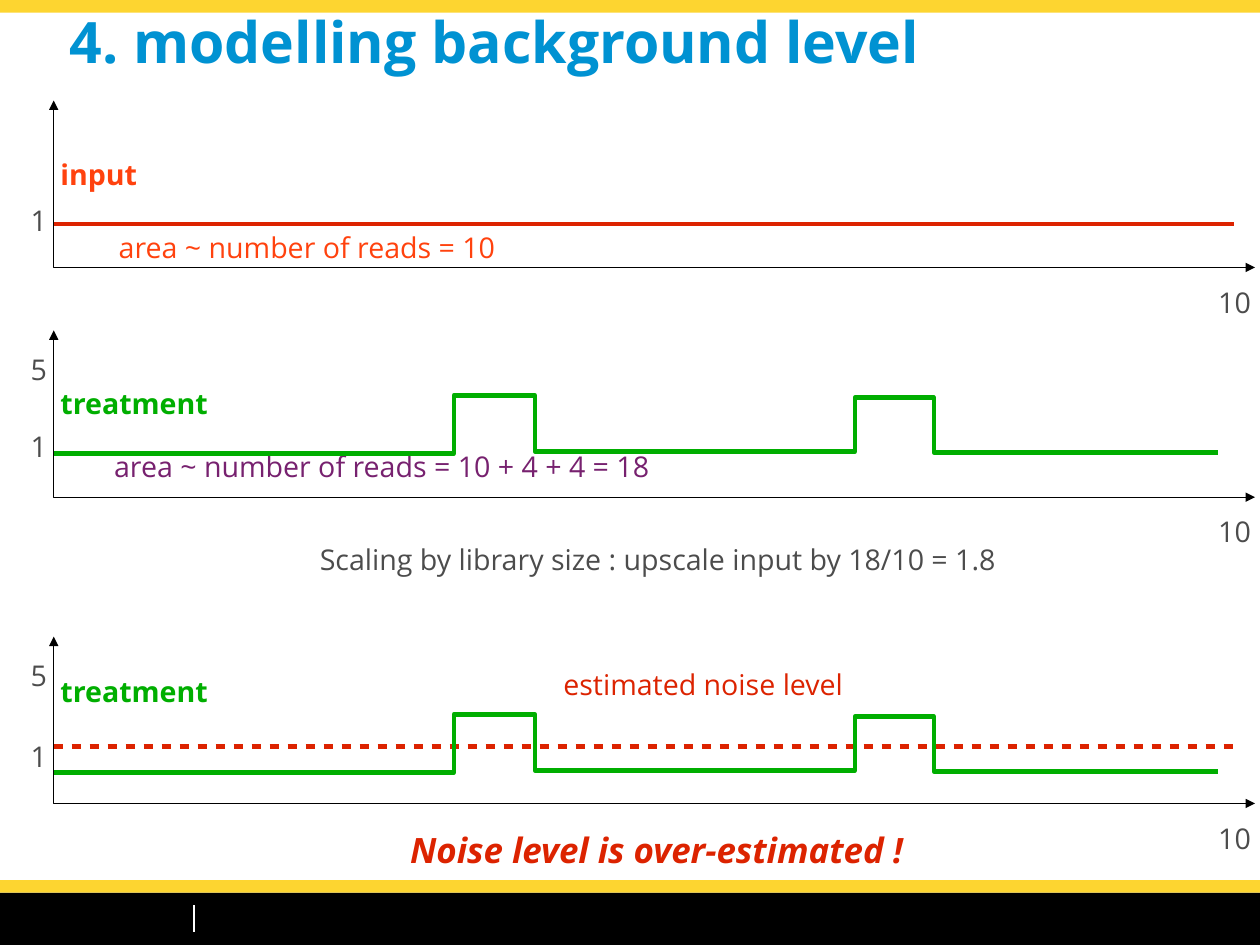
from dataclasses import dataclass

from lxml.etree import SubElement
from pptx import Presentation
from pptx.dml.color import RGBColor
from pptx.enum.shapes import MSO_CONNECTOR as Connector, MSO_SHAPE as Preset
from pptx.enum.text import MSO_ANCHOR as Anchor, MSO_AUTO_SIZE as AutoSize, PP_ALIGN as Align
from pptx.oxml.ns import qn
from pptx.util import Inches, Pt

CM_PER_INCH = 2.54
SLIDE_WIDTH, SLIDE_HEIGHT = 28 / CM_PER_INCH, 21 / CM_PER_INCH
ORIGIN_X, AXIS_END, LEVEL_END = 0.47, 10.98, 10.8
AXIS_HEIGHT = 1.46
# End of each step, and its depth below the first peak
COVERAGE_STEPS = [(3.97, 0.51), (4.68, 0), (7.48, 0.49), (8.17, 0.02), (10.66, 0.5)]


@dataclass(frozen=True)
class Theme:
    font: str = "Open Sans"
    title: str = "0092D2"
    band: str = "FDD530"
    black: str = "000000"
    white: str = "FFFFFF"
    grey: str = "4C4C4C"
    orange: str = "FF420E"
    red: str = "DC2300"
    green: str = "00AE00"
    purple: str = "77216F"
    title_size: int = 36
    label_size: int = 18
    verdict_size: int = 22
    hairline: float = 0
    divider: float = 1.42
    signal: float = 2.83


class SlideBuilder:
    def __init__(self, slide, theme):
        self.slide = slide
        self.theme = theme

    def style_font(self, paragraph, color, **formats):
        font = paragraph.font
        values = {"name": self.theme.font, "size": Pt(self.theme.label_size), **formats}
        for attribute, value in values.items():
            setattr(font, attribute, value)
        font.color.rgb = RGBColor.from_string(color)

    def title(self, text, left, top, width, height):
        heading = self.slide.shapes.title
        place = {"left": left, "top": top, "width": width, "height": height}
        for attribute, value in place.items():
            setattr(heading, attribute, Inches(value))
        frame = heading.text_frame
        frame.text = text
        layout = {"vertical_anchor": Anchor.TOP, "auto_size": AutoSize.NONE, "word_wrap": True}
        for attribute, value in layout.items():
            setattr(frame, attribute, value)
        frame.paragraphs[0].alignment = Align.LEFT
        self.style_font(frame.paragraphs[0], self.theme.title,
                        size=Pt(self.theme.title_size), bold=True)

    def text_box(self, text, left, top, width, height, color, layout, **formats):
        box = self.slide.shapes.add_textbox(*map(Inches, (left, top, width, height)))
        frame = box.text_frame
        frame.text = text
        for attribute, value in layout.items():
            setattr(frame, attribute, value)
        self.style_font(frame.paragraphs[0], color, **formats)

    def label(self, text, left, top, width, color, height=0.44, **formats):
        layout = {"word_wrap": False, "auto_size": AutoSize.SHAPE_TO_FIT_TEXT}
        self.text_box(text, left, top, width, height, color, layout, **formats)

    def tick(self, number, left, top, width):
        """Write an axis number with spare room on its right, so it stays on one line."""
        layout = {"word_wrap": True, "auto_size": AutoSize.NONE, "margin_right": 0}
        self.text_box(number, left, top, width, 0.44, self.theme.grey, layout)

    def bar(self, top, height, color):
        band = self.slide.shapes.add_shape(
            Preset.RECTANGLE, 0, Inches(top), Inches(SLIDE_WIDTH), Inches(height))
        band.shadow.inherit = False
        band.fill.solid()
        band.fill.fore_color.rgb = RGBColor.from_string(color)
        band.line.fill.background()

    def stroke(self, line, color, weight):
        line.color.rgb = RGBColor.from_string(color)
        line.width = Pt(weight)

    def line(self, start, end, color, weight, dashed=False):
        rule = self.slide.shapes.add_connector(
            Connector.STRAIGHT, *map(Inches, (*start, *end)))
        self.stroke(rule.line, color, weight)
        if dashed:
            dashes = SubElement(rule.line._get_or_add_ln(), qn("a:custDash"))
            SubElement(dashes, qn("a:ds"), d="200000", sp="200000")
        SubElement(rule._element.spPr, qn("a:effectLst"))

    def polyline(self, points, color, weight, arrows=False):
        corners = [tuple(map(Inches, point)) for point in points]
        outline = self.slide.shapes.build_freeform(*corners[0])
        outline.add_line_segments(corners[1:], close=False)
        path = outline.convert_to_shape()
        path.shadow.inherit = False
        path.fill.background()
        self.stroke(path.line, color, weight)
        ln = path.line._get_or_add_ln()
        SubElement(ln, qn("a:round"))
        if arrows:
            for end in ("a:headEnd", "a:tailEnd"):
                SubElement(ln, qn(end), type="triangle")

    def plot(self, top, name, name_top, name_width, color, one_top, has_five):
        """Draw a pair of axes with its track name and tick labels."""
        base = top + AXIS_HEIGHT
        self.polyline([(ORIGIN_X, top), (ORIGIN_X, base), (AXIS_END, base)],
                      self.theme.black, self.theme.hairline, arrows=True)
        self.label(name, 0.43, name_top, name_width, color, bold=True)
        self.tick("1", 0.17, one_top, 0.34)
        self.tick("10", 10.56, base + 0.1, 0.48)
        if has_five:
            self.tick("5", 0.17, top + 0.14, 0.34)

    def coverage(self, peak_top):
        """Draw the stepped treatment signal, its highest level at peak_top."""
        points, x = [], ORIGIN_X
        for step_end, drop in COVERAGE_STEPS:
            y = peak_top + drop
            points += [(x, y), (step_end, y)]
            x = step_end
        self.polyline(points, self.theme.green, self.theme.signal)


def main():
    deck = Presentation()
    deck.slide_width, deck.slide_height = Inches(SLIDE_WIDTH), Inches(SLIDE_HEIGHT)
    theme = Theme()
    page = SlideBuilder(deck.slides.add_slide(deck.slide_layouts[5]), theme)

    for top, height, color in [(7.81, 0.46, theme.black), (0, 0.11, theme.band),
                               (7.7, 0.11, theme.band)]:
        page.bar(top, height, color)
    page.line((1.7, 7.92), (1.7, 8.15), theme.white, theme.divider)
    page.title("4. modelling background level", 0.51, 0.01, 9.92, 1.11)

    page.plot(0.88, "input", 1.32, 0.87, theme.orange, 1.73, has_five=False)
    page.line((ORIGIN_X, 1.96), (LEVEL_END, 1.96), theme.red, theme.signal)
    page.label("area ~ number of reads = 10", 0.94, 1.96, 3.5, theme.orange)

    page.plot(2.89, "treatment", 3.33, 1.49, theme.green, 3.7, has_five=True)
    page.label("area ~ number of reads = 10 + 4 + 4 = 18", 0.9, 3.88, 4.9, theme.purple)
    page.coverage(3.46)
    page.label("Scaling by library size : upscale input by 18/10 = 1.8",
               2.7, 4.69, 6.13, theme.grey)

    page.plot(5.57, "treatment", 5.85, 1.49, theme.green, 6.42, has_five=True)
    page.line((ORIGIN_X, 6.53), (LEVEL_END, 6.53), theme.red, theme.signal, dashed=True)
    page.label("estimated noise level", 4.83, 5.79, 2.65, theme.red)
    page.coverage(6.25)
    page.label("Noise level is over-estimated !", 3.49, 7.2, 4.53, theme.red, height=0.52,
               size=Pt(theme.verdict_size), bold=True, italic=True)

    deck.save("out.pptx")


if __name__ == "__main__":
    main()
